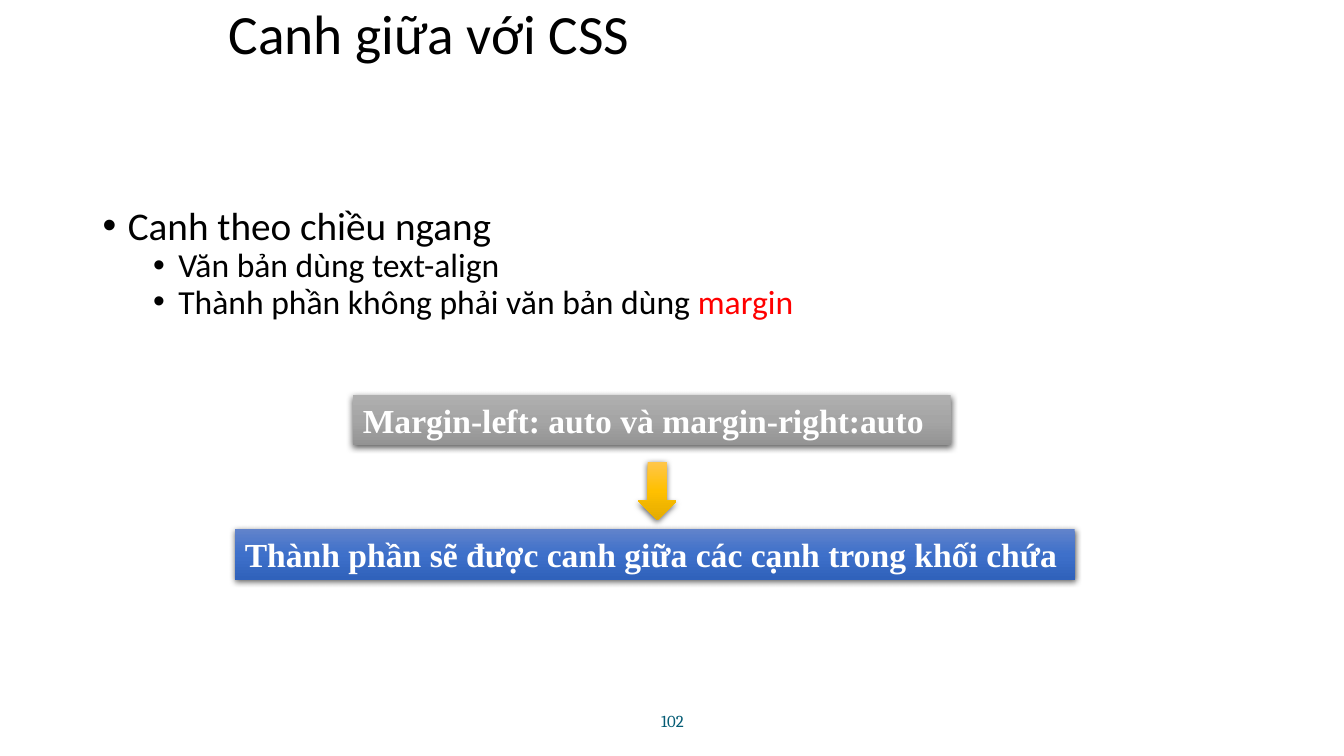
from dataclasses import dataclass

from lxml import etree
from pptx import Presentation
from pptx.dml.color import RGBColor
from pptx.enum import shapes, text
from pptx.oxml import ns
from pptx.util import Inches, Pt


@dataclass(frozen=True)
class Theme:
    black: str = "000000"
    white: str = "FFFFFF"
    accent: str = "FF0000"
    teal: str = "045C75"
    gray: tuple = ("AFAFAF", "A5A5A5", "939393")
    blue: tuple = ("6183CB", "3E70CA", "3062BB")
    gold: tuple = ("FFC64B", "FFC000", "E3AB00")
    body_font: str = "Calibri"
    banner_font: str = "Times New Roman"
    number_font: str = "Cambria"
    title_size: float = 39.6
    topic_size: int = 28
    detail_size: int = 24
    banner_size: int = 24
    number_size: int = 12


THEME = Theme()


def add_element(parent, tag, **attributes):
    element = etree.SubElement(parent, ns.qn(tag))
    for key, value in attributes.items():
        element.set(key, str(value))
    return element


def write_text(paragraph, wording, *, size, font=THEME.body_font,
               color=THEME.black, bold=False, spacing=None, align=None):
    """Append a run to the paragraph and format both."""
    if spacing:
        paragraph.line_spacing = spacing
    if align is not None:
        paragraph.alignment = align
    run = paragraph.add_run()
    run.text = wording
    run.font.name = font
    run.font.size = Pt(size)
    run.font.bold = bold
    run.font.color.rgb = RGBColor.from_string(color)


def add_text_frame(slide, left, top, width, height, anchor=text.MSO_ANCHOR.TOP):
    box = slide.shapes.add_textbox(*map(Inches, (left, top, width, height)))
    frame = box.text_frame
    frame.word_wrap = True
    frame.vertical_anchor = anchor
    return frame


def add_bullet(paragraph, margin):
    properties = paragraph._p.get_or_add_pPr()
    properties.set("marL", str(Inches(margin)))
    properties.set("indent", str(Inches(-0.25)))
    add_element(properties, "a:buFont", typeface="Arial")
    add_element(properties, "a:buChar", char="•")


def add_glossy_shape(slide, preset, left, top, width, height, gradient):
    """Add a borderless shape with a vertical gradient and a soft shadow."""
    shape = slide.shapes.add_shape(
        preset, *map(Inches, (left, top, width, height)))
    shape.fill.gradient()
    shape.fill.gradient_angle = 270
    properties = shape._element.spPr
    stops = properties.find(".//" + ns.qn("a:gsLst"))
    for stop in list(stops):
        stops.remove(stop)
    for index, color in enumerate(gradient):
        stop = add_element(stops, "a:gs", pos=index * 50000)
        add_element(stop, "a:srgbClr", val=color)
    shape.line.fill.background()
    shape.shadow.inherit = False
    shadow = add_element(
        properties.find(ns.qn("a:effectLst")), "a:outerShdw",
        blurRad=Pt(4.5), dist=Pt(1.5), dir=5400000, rotWithShape=0)
    shadow_color = add_element(shadow, "a:srgbClr", val=THEME.black)
    add_element(shadow_color, "a:alpha", val=63000)
    return shape


def add_banner(slide, left, top, width, gradient, wording):
    banner = add_glossy_shape(slide, shapes.MSO_SHAPE.RECTANGLE,
                              left, top, width, 0.5, gradient)
    frame = banner.text_frame
    frame.word_wrap = True
    frame.auto_size = text.MSO_AUTO_SIZE.SHAPE_TO_FIT_TEXT
    frame.vertical_anchor = text.MSO_ANCHOR.TOP
    write_text(frame.paragraphs[0], wording, size=THEME.banner_size,
               font=THEME.banner_font, color=THEME.white, bold=True,
               align=text.PP_ALIGN.LEFT)


def add_outline(slide):
    frame = add_text_frame(slide, 0.92, 2, 11.5, 4.76)
    topic = frame.paragraphs[0]
    add_bullet(topic, 0.25)
    write_text(topic, "Canh theo chiều ngang", size=THEME.topic_size,
               spacing=0.9)
    for wording in ("Văn bản dùng text-align",
                    "Thành phần không phải văn bản dùng "):
        detail = frame.add_paragraph()
        detail.level = 1
        add_bullet(detail, 0.75)
        write_text(detail, wording, size=THEME.detail_size, spacing=0.9)
    write_text(detail, "margin", size=THEME.detail_size, color=THEME.accent)


def main():
    deck = Presentation()
    deck.slide_width, deck.slide_height = Inches(13.33), Inches(7.5)
    slide = deck.slides.add_slide(deck.slide_layouts[6])

    add_outline(slide)
    title = add_text_frame(slide, 2.17, 0, 9.25, 0.73, text.MSO_ANCHOR.MIDDLE)
    write_text(title.paragraphs[0], "Canh giữa với CSS",
               size=THEME.title_size, spacing=0.9)
    number = add_text_frame(slide, 4.42, 6.95, 4.5, 0.4, text.MSO_ANCHOR.MIDDLE)
    write_text(number.paragraphs[0], "102", size=THEME.number_size,
               font=THEME.number_font, color=THEME.teal,
               align=text.PP_ALIGN.CENTER)

    add_banner(slide, 3.5, 3.92, 5.93, THEME.gray,
               "Margin-left: auto và margin-right:auto")
    add_banner(slide, 2.33, 5.25, 8.33, THEME.blue,
               "Thành phần sẽ được canh giữa các cạnh trong khối chứa")
    add_glossy_shape(slide, shapes.MSO_SHAPE.DOWN_ARROW,
                     6.33, 4.58, 0.38, 0.58, THEME.gold)
    deck.save("out.pptx")


if __name__ == "__main__":
    main()
